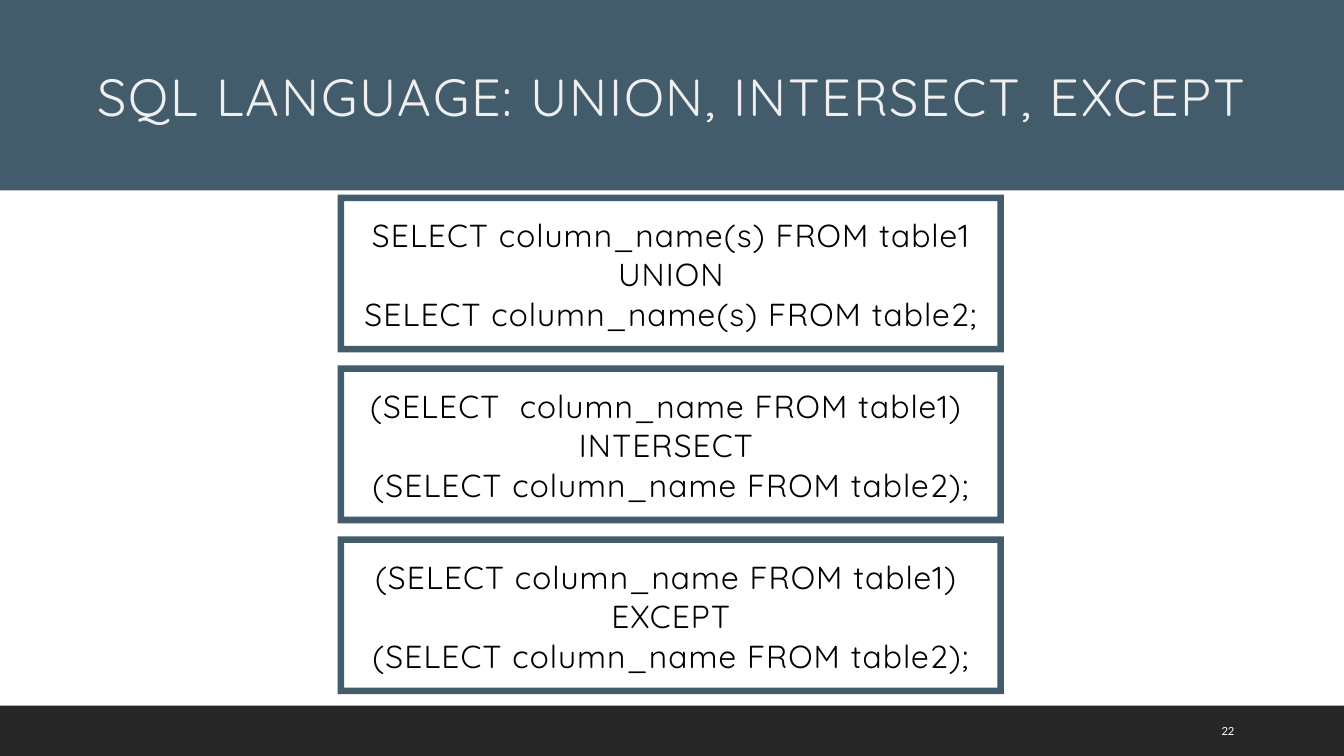
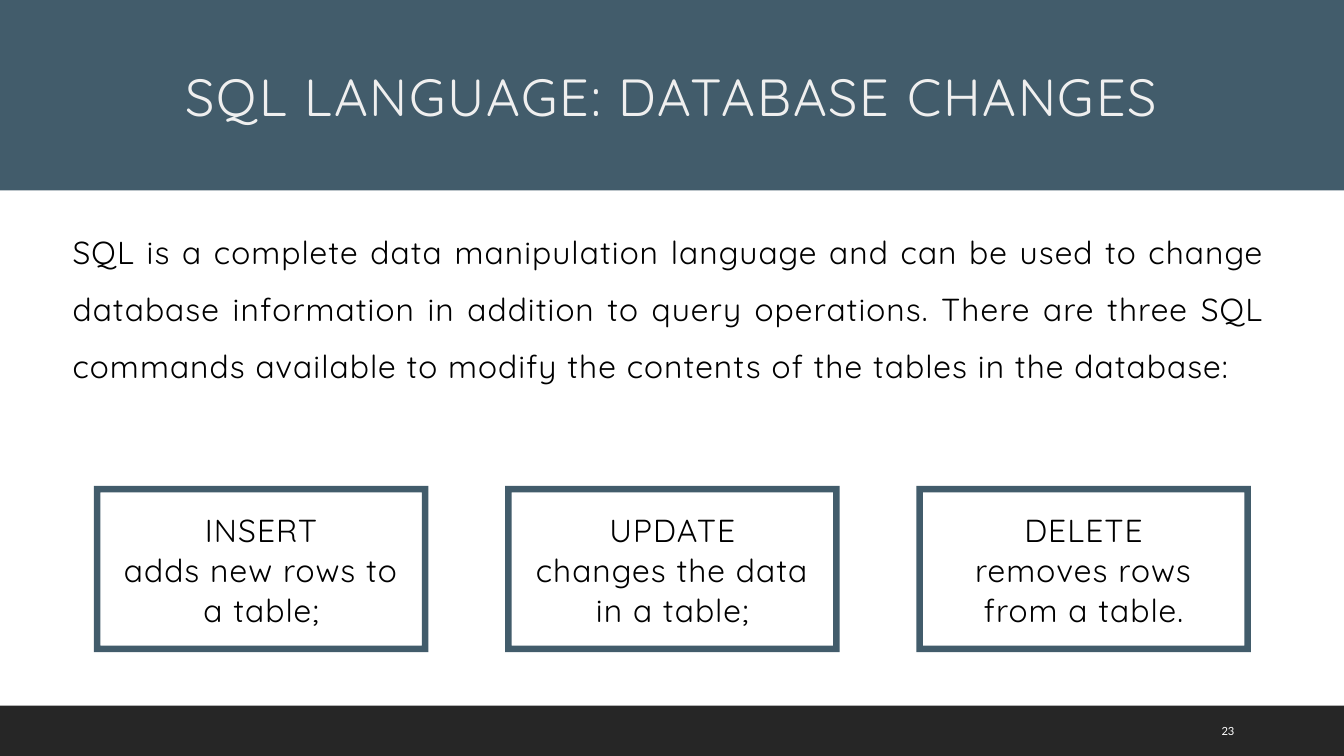
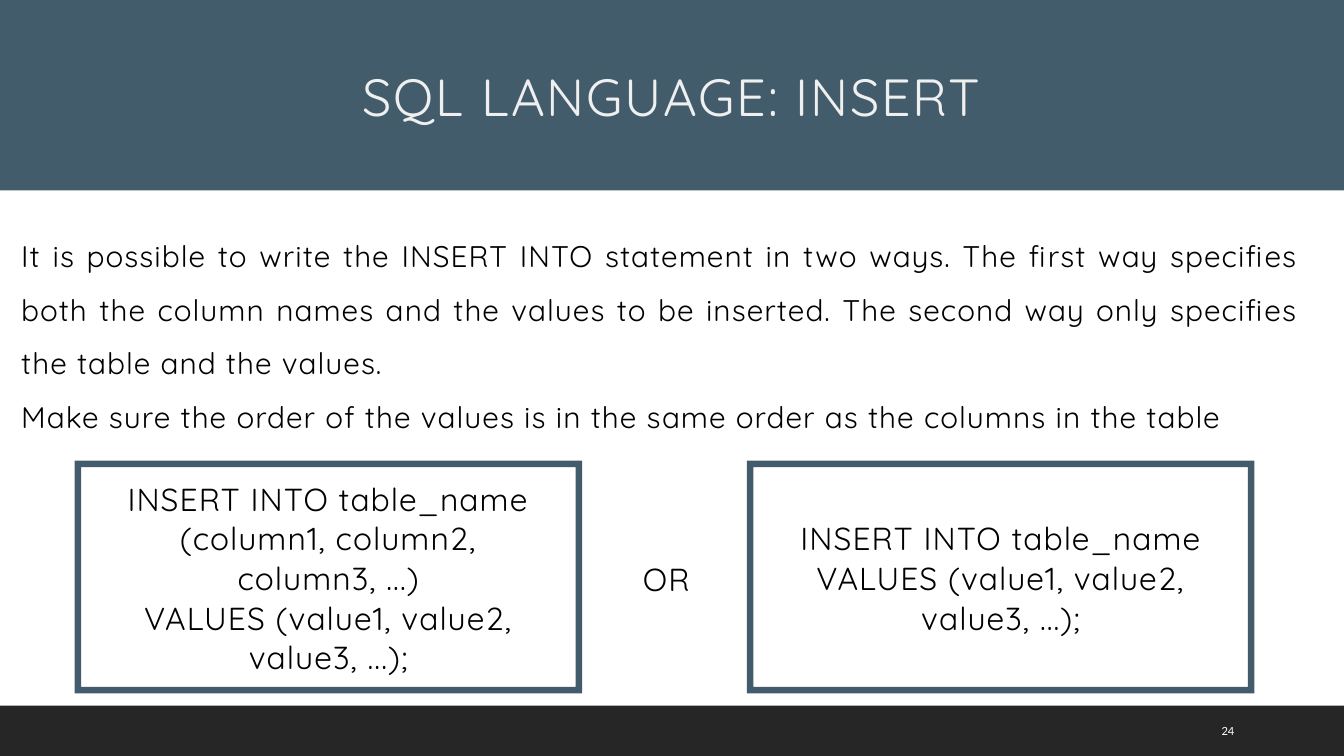
from dataclasses import dataclass
from typing import NamedTuple

from pptx import Presentation
from pptx.dml.color import RGBColor
from pptx.enum.shapes import MSO_SHAPE
from pptx.enum.text import MSO_ANCHOR, MSO_AUTO_SIZE, PP_ALIGN
from pptx.util import Inches, Pt

RECT, FRAME = MSO_SHAPE.RECTANGLE, MSO_SHAPE.FRAME
TOP, MIDDLE = MSO_ANCHOR.TOP, MSO_ANCHOR.MIDDLE
LEFT, CENTER, JUSTIFY = PP_ALIGN.LEFT, PP_ALIGN.CENTER, PP_ALIGN.JUSTIFY
NO_FIT = MSO_AUTO_SIZE.NONE

SLATE = RGBColor(0x42, 0x5C, 0x6B)
CHARCOAL = RGBColor(0x26, 0x26, 0x26)
PALE = RGBColor(0xEF, 0xEF, 0xEF)
WHITE = RGBColor(0xFF, 0xFF, 0xFF)
BLACK = RGBColor(0, 0, 0)

# Slide grid: 160 columns by 90 rows of nearly square cells
COLS, ROWS = 160, 90
WIDTH, HEIGHT = Inches(13.33), Inches(7.5)
BORDER = 0.78
FIRST_NUMBER = 22
TITLE_ONLY = 5


class Box(NamedTuple):
    col: float
    row: float
    cols: float
    rows: float


@dataclass(frozen=True)
class Style:
    size: float
    color: RGBColor = BLACK
    font: str = "Quicksand"
    align: PP_ALIGN = CENTER
    spacing: float = 1.0
    tracking: int = 80


@dataclass(frozen=True)
class Text:
    box: Box
    style: Style
    lines: tuple[str, ...]


@dataclass(frozen=True)
class Frames:
    first: Box
    step_cols: float
    step_rows: float
    pad: float
    texts: tuple[tuple[str, ...], ...]


@dataclass(frozen=True)
class Page:
    title: str
    frames: Frames
    texts: tuple[Text, ...] = ()


TITLE = Style(37.3, PALE, spacing=Pt(46.7), tracking=130)
CODE = Style(22.7, spacing=Pt(28.3))
BODY = Style(22.7, align=JUSTIFY, spacing=1.5)
BODY_SMALL = Style(21.3, align=JUSTIFY, spacing=1.5)
NUMBER = Style(8, WHITE, "Lato", LEFT, tracking=0)

HEADER_BOX = Box(0, 0, COLS, 22.68)
FOOTER_BOX = Box(0, 84, COLS, 6)
TITLE_BOX = Box(0, 7.32, COLS, 7.32)
NUMBER_BOX = Box(144.24, 84.6, 10.2, 4.8)

PAGES = (
    Page(
        "SQL LANGUAGE: UNION, INTERSECT, EXCEPT",
        Frames(Box(40.2, 23.16, 79.32, 18.8), 0, 20.34, 0.84, (
            ("SELECT column_name(s) FROM table1", "UNION",
             "SELECT column_name(s) FROM table2;"),
            ("(SELECT  column_name FROM table1) ", "INTERSECT ",
             "(SELECT column_name FROM table2);"),
            ("(SELECT column_name FROM table1) ", "EXCEPT",
             "(SELECT column_name FROM table2);"),
        )),
    ),
    Page(
        "SQL LANGUAGE: DATABASE CHANGES",
        Frames(Box(11.16, 57.84, 39.84, 19.8), 48.96, 0, 2.52, (
            ("INSERT", "adds new rows to a table;"),
            ("UPDATE", "changes the data in a table;"),
            ("DELETE", "removes rows from a table."),
        )),
        (Text(Box(8.64, 25.44, 142, 26.64), BODY, (
            "SQL is a complete data manipulation language and can be used to "
            "change database information in addition to query operations. "
            "There are three SQL commands available to modify the contents "
            "of the tables in the database:",
        )),),
    ),
    Page(
        "SQL LANGUAGE: INSERT",
        Frames(Box(8.88, 54.84, 60.42, 27.72), 80.04, 0, 3.6, (
            ("INSERT INTO table_name (column1, column2, column3, ...)",
             "VALUES (value1, value2, value3, ...);"),
            ("INSERT INTO table_name", "VALUES (value1, value2, value3, ...);"),
        )),
        (Text(Box(2.52, 26.16, 152.28, 25.08), BODY_SMALL, (
            "It is possible to write the INSERT INTO statement in two ways. "
            "The first way specifies both the column names and the values to "
            "be inserted. The second way only specifies the table and the "
            "values.",
            "Make sure the order of the values is in the same order as the "
            "columns in the table",
        )),
         Text(Box(75.96, 66.48, 6.72, 4.32), CODE, ("OR",))),
    ),
)


def x(cols: float) -> int:
    return round(WIDTH * cols / COLS)


def y(rows: float) -> int:
    return round(HEIGHT * rows / ROWS)


def place(box: Box) -> tuple[int, int, int, int]:
    return x(box.col), y(box.row), x(box.cols), y(box.rows)


def set_all(obj, values: dict) -> None:
    for name, value in values.items():
        setattr(obj, name, value)


def write(tf, lines: tuple[str, ...], style: Style, anchor=TOP,
          pad_x: int = 0, pad_y: int = 0) -> None:
    set_all(tf, dict(word_wrap=True, auto_size=NO_FIT, vertical_anchor=anchor,
                     margin_left=pad_x, margin_right=pad_x,
                     margin_top=pad_y, margin_bottom=pad_y))
    for i, line in enumerate(lines):
        p = tf.add_paragraph() if i else tf.paragraphs[0]
        set_all(p, dict(alignment=style.align, line_spacing=style.spacing))
        r = p.add_run()
        r.text = line
        set_all(r.font, dict(name=style.font, size=Pt(style.size)))
        r.font.color.rgb = style.color
        r._r.get_or_add_rPr().set("spc", str(style.tracking))


def add_block(s, kind, box: Box, color: RGBColor):
    sp = s.shapes.add_shape(kind, *place(box))
    sp.shadow.inherit = False
    sp.fill.solid()
    sp.fill.fore_color.rgb = color
    sp.line.fill.background()
    return sp


def add_text(s, text: Text, **options) -> None:
    tb = s.shapes.add_textbox(*place(text.box))
    write(tb.text_frame, text.lines, text.style, **options)


def add_frames(s, frames: Frames) -> None:
    col, row, cols, rows = frames.first
    for i, lines in enumerate(frames.texts):
        box = Box(col + i * frames.step_cols, row + i * frames.step_rows,
                  cols, rows)
        sp = add_block(s, FRAME, box, SLATE)
        sp.adjustments[0] = BORDER / min(cols, rows)
        write(sp.text_frame, lines, CODE, MIDDLE, pad_x=x(frames.pad))


def add_bands(s, layout) -> None:
    """Put the header and footer bands on the layout, behind its placeholders."""
    for box, color in ((HEADER_BOX, SLATE), (FOOTER_BOX, CHARCOAL)):
        band = add_block(s, RECT, box, color)
        layout.shapes._spTree.insert(2, band._element)


def add_page(s, page: Page, number: int) -> None:
    # Title
    title = s.shapes.title
    set_all(title, dict(zip(("left", "top", "width", "height"),
                            place(TITLE_BOX))))
    write(title.text_frame, (page.title,), TITLE)

    # Content
    for text in page.texts:
        add_text(s, text)
    add_frames(s, page.frames)

    # Slide number
    add_text(s, Text(NUMBER_BOX, NUMBER, (str(number),)), anchor=MIDDLE,
             pad_x=Inches(0.1), pad_y=Inches(0.05))


def main() -> None:
    prs = Presentation()
    set_all(prs, dict(slide_width=WIDTH, slide_height=HEIGHT))
    layout = prs.slide_layouts[TITLE_ONLY]
    for i, page in enumerate(PAGES):
        s = prs.slides.add_slide(layout)
        if i == 0:
            add_bands(s, layout)
        add_page(s, page, FIRST_NUMBER + i)
    prs.save("out.pptx")


if __name__ == "__main__":
    main()
